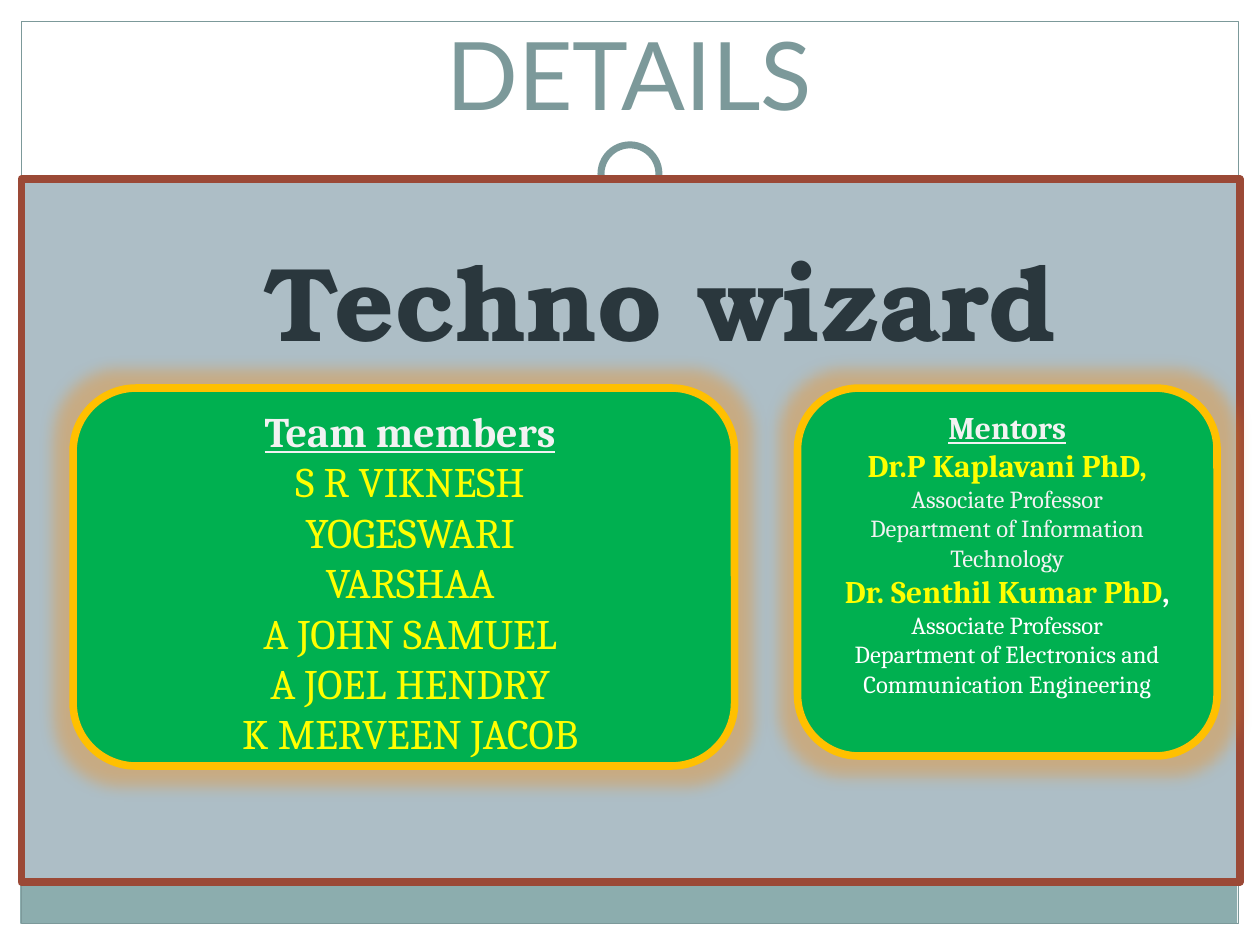
"""Build the team details slide with member and mentor panels."""
import dataclasses

import lxml.etree
import pptx
import pptx.dml.color
import pptx.enum.dml
import pptx.enum.shapes
import pptx.enum.text
import pptx.oxml.ns
import pptx.util

Inches = pptx.util.Inches
Pt = pptx.util.Pt
RGB = pptx.dml.color.RGBColor.from_string
qn = pptx.oxml.ns.qn
SHAPE = pptx.enum.shapes.MSO_SHAPE
CENTER = pptx.enum.text.PP_ALIGN.CENTER
FIT = pptx.enum.text.MSO_AUTO_SIZE


@dataclasses.dataclass(frozen=True)
class Theme:
    white: str = "FFFFFF"
    teal: str = "7C999A"
    footer: str = "8CADAE"
    panel: str = "ADBEC6"
    border: str = "9B4936"
    green: str = "00B050"
    gold: str = "FFC000"
    glow: str = "F09020"
    pale: str = "F2F2F2"
    yellow: str = "FFFF00"
    dark: str = "2A373D"
    outline: str = "5B668F"
    heading: str = "Lato"
    body: str = "Cambria"
    display: str = "TeX Gyre Bonum"
    title_size: int = 54
    name_size: int = 60
    member_size: int = 24
    mentor_size: int = 18
    role_size: int = 14


T = Theme()


def add_box(s, kind, at, fill=None, line=None, width=0.75):
    sp = s.shapes.add_shape(kind, *map(Inches, at))
    sp.shadow.inherit = False
    if fill:
        sp.fill.solid()
        sp.fill.fore_color.rgb = RGB(fill)
    else:
        sp.fill.background()
    if line:
        sp.line.color.rgb = RGB(line)
        sp.line.width = Pt(width)
    else:
        sp.line.fill.background()
    return sp


def add_run(p, text, font, size, color, bold=False, underline=False):
    r = p.add_run()
    r.text = text
    r.font.name = font
    r.font.size = Pt(size)
    r.font.color.rgb = RGB(color)
    r.font.bold = bold
    r.font.underline = underline
    return r


prs = pptx.Presentation()
prs.slide_width = Inches(10)
prs.slide_height = Inches(7.5)
s = prs.slides.add_slide(prs.slide_layouts[5])

for at in ((0, 0, 10, 1.52), (0, 0, 0.17, 7.5), (9.83, 0, 0.17, 7.5)):
    add_box(s, SHAPE.RECTANGLE, at, T.white)
add_box(s, SHAPE.RECTANGLE, (0.16, 6.99, 9.66, 0.34), T.footer)
add_box(s, SHAPE.RECTANGLE, (0.17, 0.17, 9.66, 7.16), line=T.teal)

rule = s.shapes.add_connector(
    pptx.enum.shapes.MSO_CONNECTOR.STRAIGHT,
    Inches(0.17), Inches(1.4), Inches(9.83), Inches(1.4))
rule.line.color.rgb = RGB(T.teal)
rule.line.width = Pt(0.75)
rule.line.dash_style = pptx.enum.dml.MSO_LINE.SQUARE_DOT
lxml.etree.SubElement(rule.element.spPr, qn("a:effectLst"))

add_box(s, SHAPE.OVAL, (4.67, 1.05, 0.67, 0.67), T.white)
add_box(s, SHAPE.OVAL, (4.77, 1.15, 0.46, 0.46), T.white, T.teal, 4)
add_box(s, SHAPE.RECTANGLE, (0.17, 1.42, 9.67, 5.58), T.panel, T.border, 4.33)

cards = []
for at in ((0.58, 3.08, 5.25, 3), (6.33, 3.08, 3.33, 2.92)):
    sp = add_box(s, SHAPE.ROUNDED_RECTANGLE, at, T.green, T.gold, 4.33)
    effects = sp.element.spPr.find(qn("a:effectLst"))
    glow = lxml.etree.SubElement(effects, qn("a:glow"), rad=str(Pt(18)))
    color = lxml.etree.SubElement(glow, qn("a:srgbClr"), val=T.glow)
    lxml.etree.SubElement(color, qn("a:alpha"), val="40000")
    cards.append(sp)

tf = s.shapes.add_textbox(Inches(1.17), Inches(3.17), Inches(4.17), Inches(3.23)).text_frame
tf.word_wrap = True
tf.auto_size = FIT.SHAPE_TO_FIT_TEXT
p = tf.paragraphs[0]
p.alignment = CENTER
add_run(p, "Team members", T.body, T.member_size, T.pale, True, True)
for member in ("S R VIKNESH", "YOGESWARI", "VARSHAA", "A JOHN SAMUEL",
               "A JOEL HENDRY", "K MERVEEN JACOB"):
    p = tf.add_paragraph()
    p.alignment = CENTER
    add_run(p, member, T.body, T.member_size, T.yellow)

tf = cards[1].text_frame
tf.word_wrap = True
tf.vertical_anchor = pptx.enum.text.MSO_ANCHOR.MIDDLE
tf.margin_bottom = Inches(0.35)
p = tf.paragraphs[0]
p.alignment = CENTER
add_run(p, "Mentors", T.body, T.mentor_size, T.pale, True, True)
mentors = (
    ("Dr.P Kaplavani PhD", T.yellow, T.pale, "Department of Information Technology"),
    ("Dr. Senthil Kumar PhD", T.white, T.white,
     "Department of Electronics and Communication Engineering"),
)
for name, comma_color, role_color, department in mentors:
    p = tf.add_paragraph()
    p.alignment = CENTER
    add_run(p, name, T.body, T.mentor_size, T.yellow, True)
    add_run(p, ", ", T.body, T.mentor_size, comma_color, True)
    add_run(p, "Associate Professor", T.body, T.role_size, role_color)
    p = tf.add_paragraph()
    p.alignment = CENTER
    add_run(p, department, T.body, T.role_size, role_color)

tf = s.shapes.add_textbox(Inches(2), Inches(1.83), Inches(7.08), Inches(1.11)).text_frame
tf.word_wrap = True
tf.auto_size = FIT.SHAPE_TO_FIT_TEXT
r = add_run(tf.paragraphs[0], "Techno wizard", T.display, T.name_size, T.dark, True)
ln = lxml.etree.Element(qn("a:ln"), w=str(Pt(1)))
fill = lxml.etree.SubElement(ln, qn("a:solidFill"))
lxml.etree.SubElement(fill, qn("a:srgbClr"), val=T.outline)
r.font.fill
r.font.color.rgb = RGB(T.dark)
tf.paragraphs[0].runs[0].font.fill.solid()
r.font.color.rgb = RGB(T.dark)
r_pr = tf.paragraphs[0].runs[0].font.element if hasattr(r.font, "element") else None
if r_pr is None:
    r_pr = s.shapes[-1].element.find(".//" + qn("a:rPr"))
r_pr.insert(0, ln)

title = s.shapes.title
title.left, title.top = Inches(0.33), Inches(0.5)
title.width, title.height = Inches(9.33), Inches(0.58)
tf = title.text_frame
tf.word_wrap = True
tf.auto_size = FIT.NONE
tf.vertical_anchor = pptx.enum.text.MSO_ANCHOR.BOTTOM
p = tf.paragraphs[0]
p.alignment = CENTER
add_run(p, "DETAILS", T.heading, T.title_size, T.teal)
s.shapes.element.append(title.element)

prs.save("out.pptx")
